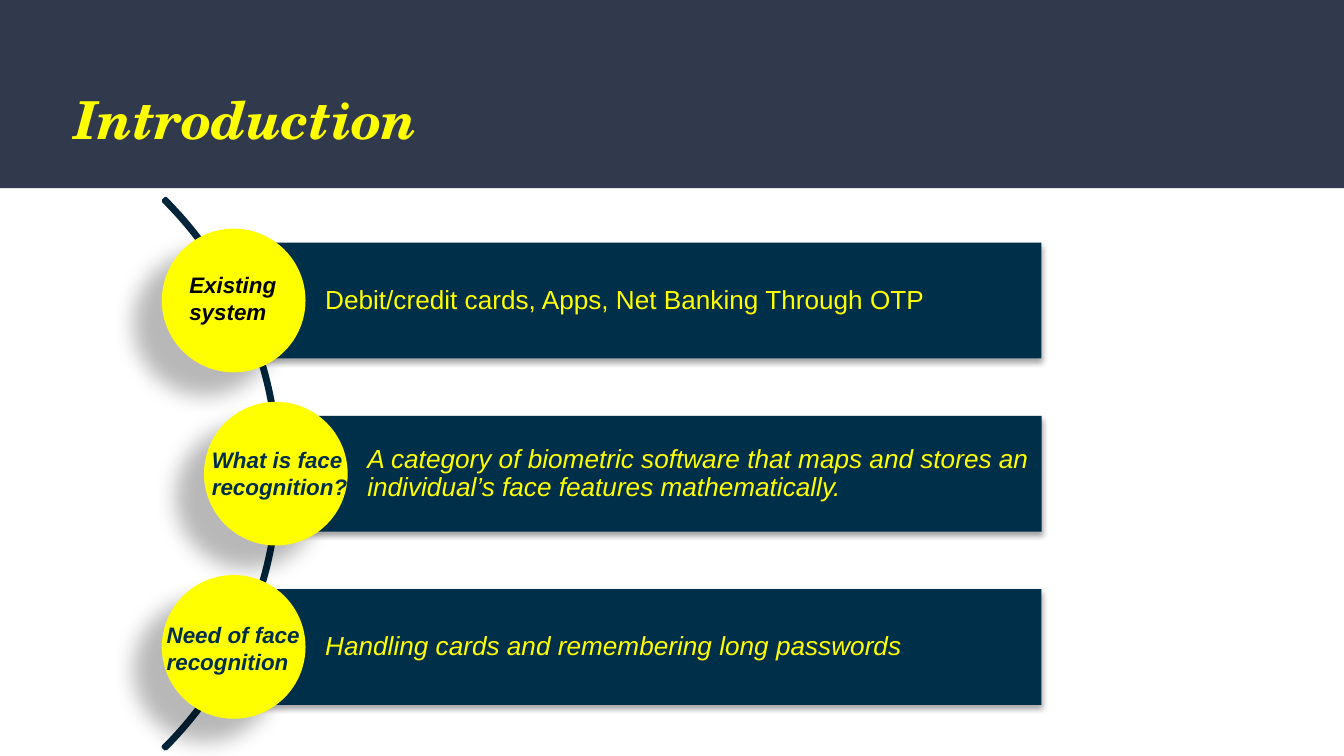
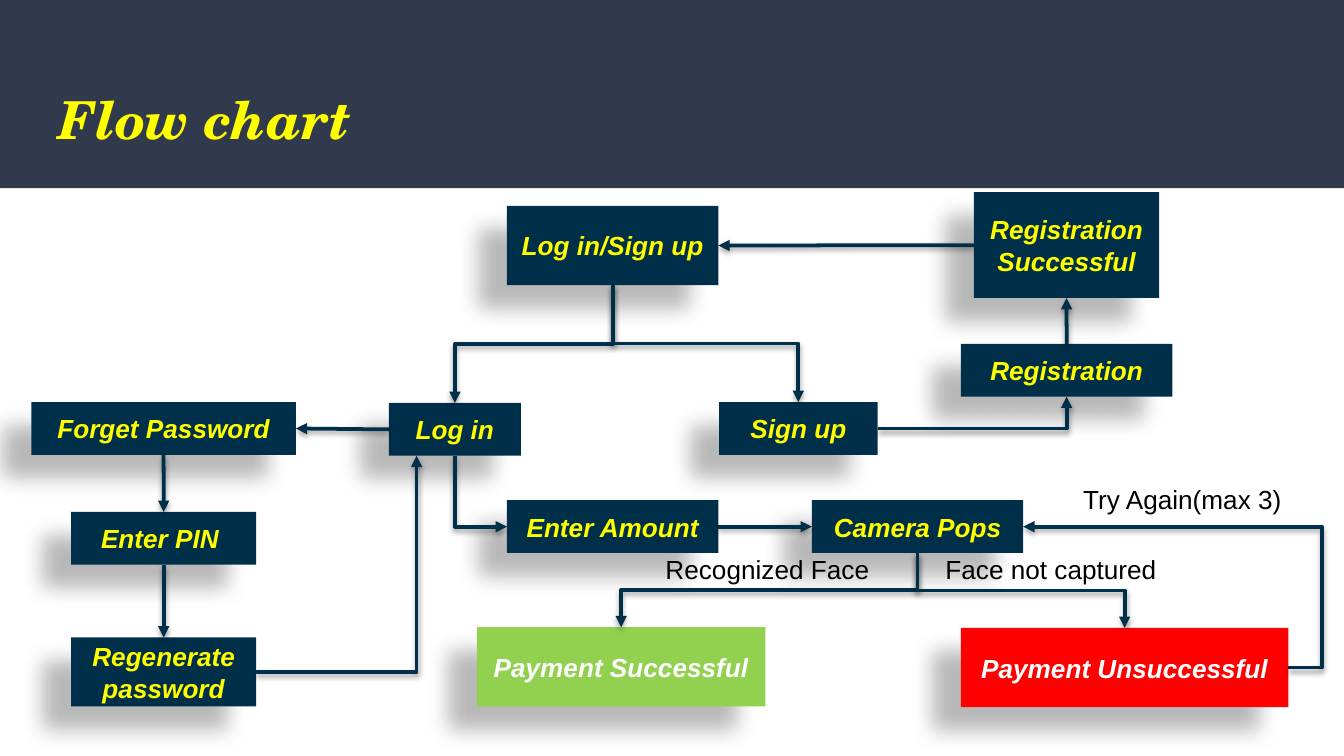
from dataclasses import dataclass
from typing import Optional

import pptx
import pptx.dml.color
import pptx.enum.shapes
import pptx.enum.text
import pptx.oxml.ns
import pptx.util
from lxml import etree

Pt = pptx.util.Pt
qn = pptx.oxml.ns.qn
SHAPE = pptx.enum.shapes.MSO_SHAPE
CONNECTOR = pptx.enum.shapes.MSO_CONNECTOR
ANCHOR = pptx.enum.text.MSO_ANCHOR
ALIGN = pptx.enum.text.PP_ALIGN

COLORS = {
    "band": "31394D", "navy": "002F4A", "arc": "00253A", "label": "002E4A",
    "yellow": "FFFF00", "green": "92D050", "red": "FF0000",
    "white": "FFFFFF", "black": "000000",
}
BODY_FONT = "Arial"
TITLE_FONT = "TeX Gyre Schola"
WIDTH, HEIGHT = 720, 405
BAND_HEIGHT = 100.8


@dataclass(frozen=True)
class Style:
    size: float = 14
    color: str = "black"
    bold: bool = False
    italic: bool = False
    font: str = BODY_FONT


@dataclass(frozen=True)
class Shadow:
    alpha: int
    blur: float
    dist: float
    angle: int


@dataclass(frozen=True)
class Box:
    x: float
    y: float
    w: float
    h: float

    def side(self, name: str) -> tuple[float, float]:
        cx, cy = self.x + self.w / 2, self.y + self.h / 2
        return {"left": (self.x, cy), "right": (self.x + self.w, cy),
                "top": (cx, self.y), "bottom": (cx, self.y + self.h)}[name]


@dataclass(frozen=True)
class Topic:
    label: str
    text: str
    circle_x: float
    label_box: Box
    label_color: str = "label"
    italic: bool = True


@dataclass(frozen=True)
class Node:
    text: str
    box: Box
    fill: str = "navy"
    color: str = "yellow"


@dataclass(frozen=True)
class Link:
    start: str
    start_side: str
    end: str
    end_side: str
    bends: int = 0
    adj: Optional[float] = None
    shift: float = 0


@dataclass(frozen=True)
class Label:
    text: str
    box: Box


FLOAT_SHADOW = Shadow(28, 11.8, 19.7, 141)
BAR_SHADOW = Shadow(35, 3.1, 1.8, 90)
LINE_SHADOW = Shadow(38, 3.1, 1.6, 90)
TITLE = Style(28, "yellow", True, True, TITLE_FONT)
INSETS = (7.2, 3.6, 7.2, 3.6)

CIRCLE, BAR_HEIGHT, BAR_RIGHT = 77, 62, 558
FIRST_CENTER, ROW_PITCH = 161, 92.8
TOPICS = [
    Topic("Existing system", "Debit/credit cards, Apps, Net Banking Through OTP",
          86.7, Box(94.3, 141.8, 64.1, 36), "black", False),
    Topic("What is face recognition?",
          "A category of biometric software that maps and stores an "
          "individual’s face features mathematically.",
          109.3, Box(106.4, 235.6, 87.8, 36)),
    Topic("Need of face recognition", "Handling cards and remembering long passwords",
          86.7, Box(82.2, 329.2, 87.8, 36)),
]

ROW = 28.3
NODES = {
    "start": Node("Log in/Sign up", Box(271.6, 110.3, 113.3, 42.5)),
    "signup": Node("Sign up", Box(385.2, 215.4, 85, ROW)),
    "login": Node("Log in", Box(208.3, 215.9, 70.8, ROW)),
    "register": Node("Registration", Box(514.8, 184.2, 113.3, ROW)),
    "registered": Node("Registration Successful", Box(521.8, 103, 99.2, 56.7)),
    "forget": Node("Forget Password", Box(16.8, 215.4, 141.7, ROW)),
    "pin": Node("Enter PIN ", Box(38.1, 274.3, 99.2, ROW)),
    "regenerate": Node("Regenerate password", Box(38.1, 341.5, 99.2, 37)),
    "amount": Node("Enter Amount", Box(271.6, 268, 113.3, ROW)),
    "camera": Node("Camera Pops", Box(434.9, 268, 113.3, ROW)),
    "paid": Node("Payment Successful", Box(255.4, 336, 154.7, 42.5), "green", "white"),
    "unpaid": Node("Payment Unsuccessful", Box(514.8, 336.4, 175.4, 42.5), "red", "white"),
}
LINKS = [
    Link("start", "bottom", "login", "top", 2, 0.5),
    Link("start", "bottom", "signup", "top", 2, 0.5),
    Link("signup", "right", "register", "bottom", 1),
    Link("register", "top", "registered", "bottom"),
    Link("registered", "left", "start", "right"),
    Link("login", "left", "forget", "right"),
    Link("forget", "bottom", "pin", "top"),
    Link("pin", "bottom", "regenerate", "top"),
    Link("regenerate", "right", "login", "bottom", 1, shift=-20.5),
    Link("login", "bottom", "amount", "left", 1),
    Link("amount", "right", "camera", "left"),
    Link("camera", "bottom", "paid", "top", 2, 0.5),
    Link("camera", "bottom", "unpaid", "top", 2, 0.5),
    Link("unpaid", "right", "camera", "right", 2, -0.127),
]
LABELS = [
    Label("Try Again(max 3)", Box(573.2, 255.6, 141.8, 24.2)),
    Label("Recognized Face", Box(349.4, 293.2, 131, 24.2)),
    Label("Face not captured", Box(499.4, 292.8, 141.8, 24.2)),
]


def rgb(name: str) -> pptx.dml.color.RGBColor:
    return pptx.dml.color.RGBColor.from_string(COLORS[name])


def cast_shadow(sp, shadow: Optional[Shadow]) -> None:
    effects = etree.SubElement(sp._element.spPr, qn("a:effectLst"))
    if shadow is None:
        return
    outer = etree.SubElement(
        effects, qn("a:outerShdw"), blurRad=str(Pt(shadow.blur)),
        dist=str(Pt(shadow.dist)), dir=str(shadow.angle * 60000),
        algn="ctr", rotWithShape="0")
    color = etree.SubElement(outer, qn("a:srgbClr"), val=COLORS["black"])
    etree.SubElement(color, qn("a:alpha"), val=str(shadow.alpha * 1000))


def add_text(sp, text: str, style: Style, insets=INSETS, anchor=ANCHOR.TOP,
             align=ALIGN.LEFT, spacing: Optional[float] = None) -> None:
    tf = sp.text_frame
    tf.word_wrap = True
    tf.vertical_anchor = anchor
    tf.margin_left, tf.margin_top, tf.margin_right, tf.margin_bottom = map(Pt, insets)
    p = tf.paragraphs[0]
    p.alignment = align
    p.line_spacing = spacing
    r = p.add_run()
    r.text = text
    r.font.name = style.font
    r.font.size = Pt(style.size)
    r.font.bold = style.bold
    r.font.italic = style.italic
    r.font.color.rgb = rgb(style.color)


def add_filled(s, kind, box: Box, fill: str, shadow: Optional[Shadow] = None):
    sp = s.shapes.add_shape(kind, Pt(box.x), Pt(box.y), Pt(box.w), Pt(box.h))
    sp.fill.solid()
    sp.fill.fore_color.rgb = rgb(fill)
    sp.line.fill.background()
    cast_shadow(sp, shadow)
    return sp


def add_label(s, box: Box, text: str, style: Style, insets=INSETS):
    sp = s.shapes.add_textbox(Pt(box.x), Pt(box.y), Pt(box.w), Pt(box.h))
    add_text(sp, text, style, insets)
    return sp


def add_slide(prs, title: str, title_x: float):
    s = prs.slides.add_slide(prs.slide_layouts[6])
    add_filled(s, SHAPE.RECTANGLE, Box(0, 0, WIDTH, BAND_HEIGHT), "band")
    add_label(s, Box(title_x, 39.6, 695.5 - title_x, 49), title, TITLE, (7.2,) * 4)
    return s


def add_arc(s) -> None:
    sp = s.shapes.add_shape(SHAPE.BLOCK_ARC, Pt(-267.1), Pt(45.4), Pt(416.9), Pt(416.9))
    for i, value in enumerate((189, 27, 0.004)):
        sp.adjustments[i] = value
    sp.fill.background()
    sp.line.color.rgb = rgb("arc")
    sp.line.width = Pt(2)
    cast_shadow(sp, None)


def add_topic(s, topic: Topic, center_y: float) -> None:
    bar_x = topic.circle_x + CIRCLE / 2
    bar = Box(bar_x, center_y - BAR_HEIGHT / 2, BAR_RIGHT - bar_x, BAR_HEIGHT)
    circle = Box(topic.circle_x, center_y - CIRCLE / 2, CIRCLE, CIRCLE)
    sp = add_filled(s, SHAPE.RECTANGLE, bar, "navy", BAR_SHADOW)
    add_text(sp, topic.text, Style(color="yellow", italic=topic.italic),
             (49, 2.8, 2.8, 2.8), ANCHOR.MIDDLE, spacing=0.9)
    add_filled(s, SHAPE.OVAL, circle, "yellow", FLOAT_SHADOW)
    add_label(s, topic.label_box, topic.label, Style(12, topic.label_color, True, True))


def add_node(s, node: Node) -> None:
    sp = add_filled(s, SHAPE.RECTANGLE, node.box, node.fill, FLOAT_SHADOW)
    add_text(sp, node.text, Style(14, node.color, True, True),
             anchor=ANCHOR.MIDDLE, align=ALIGN.CENTER)


def add_link(s, link: Link) -> None:
    x1, y1 = NODES[link.start].box.side(link.start_side)
    x2, y2 = NODES[link.end].box.side(link.end_side)
    x2 += link.shift
    rotation = 0
    if link.bends and link.start_side == "bottom":
        rotation = 90 if x2 < x1 else 270
        cx, cy = (x1 + x2) / 2, (y1 + y2) / 2
        half_w, half_h = (y2 - y1) / 2, abs(x2 - x1) / 2
        if rotation == 270:
            half_w = -half_w
        x1, y1, x2, y2 = cx - half_w, cy - half_h, cx + half_w, cy + half_h
    kind = CONNECTOR.ELBOW if link.bends else CONNECTOR.STRAIGHT
    c = s.shapes.add_connector(kind, Pt(x1), Pt(y1), Pt(x2), Pt(y2))
    c.line.color.rgb = rgb("navy")
    c.line.width = Pt(2)
    etree.SubElement(c.line._get_or_add_ln(), qn("a:tailEnd"), type="triangle")
    spPr = c._element.spPr
    if rotation:
        spPr.find(qn("a:xfrm")).set("rot", str(rotation * 60000))
    geom = spPr.find(qn("a:prstGeom"))
    if link.bends == 1:
        geom.set("prst", "bentConnector2")
    if link.adj is not None:
        etree.SubElement(geom.find(qn("a:avLst")), qn("a:gd"), name="adj1",
                         fmla=f"val {round(link.adj * 100000)}")
    cast_shadow(c, LINE_SHADOW)


def build_introduction(prs) -> None:
    s = add_slide(prs, "Introduction", 32.9)
    add_arc(s)
    for i, topic in enumerate(TOPICS):
        add_topic(s, topic, FIRST_CENTER + i * ROW_PITCH)


def build_flow_chart(prs) -> None:
    s = add_slide(prs, "Flow chart", 24.4)
    for node in NODES.values():
        add_node(s, node)
    for link in LINKS:
        add_link(s, link)
    for label in LABELS:
        add_label(s, label.box, label.text, Style())


def main() -> None:
    prs = pptx.Presentation()
    prs.slide_width, prs.slide_height = Pt(WIDTH), Pt(HEIGHT)
    build_introduction(prs)
    build_flow_chart(prs)
    prs.save("out.pptx")


if __name__ == "__main__":
    main()
